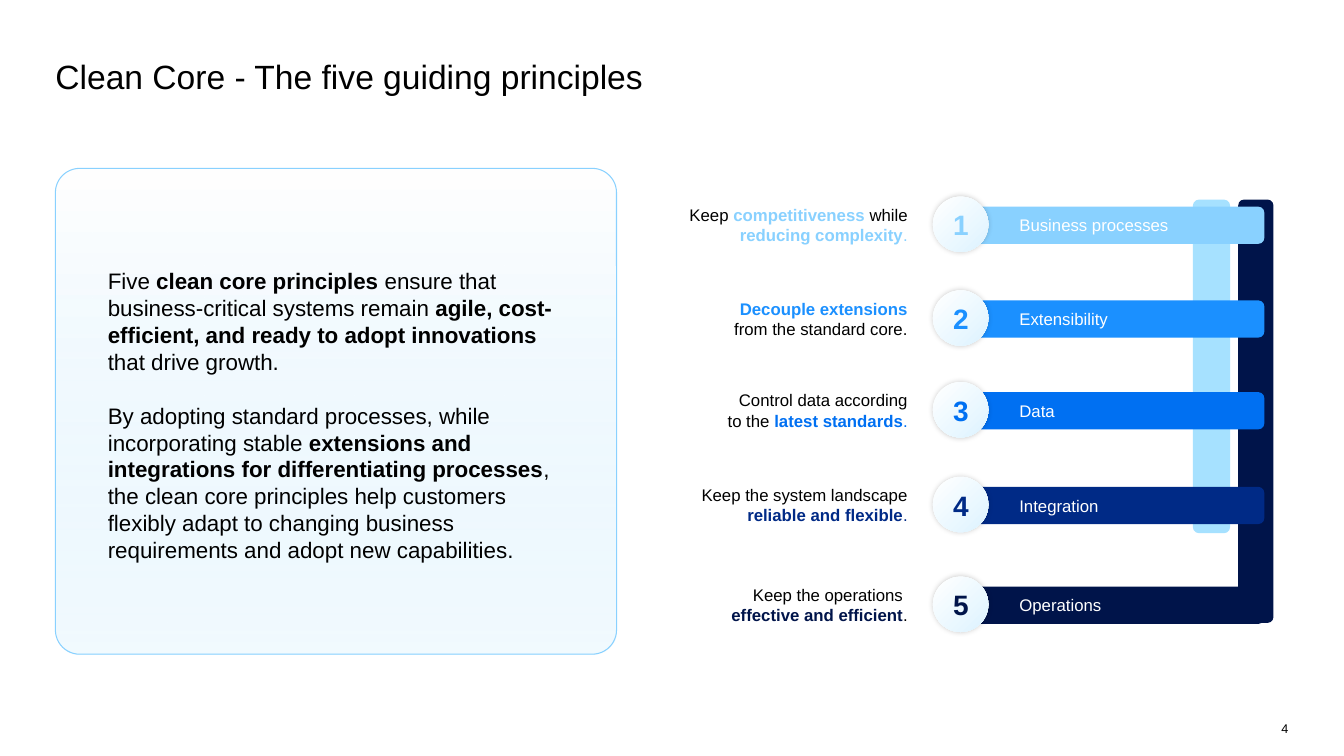
from collections import namedtuple

from lxml.etree import SubElement
from pptx import Presentation
from pptx.dml.color import RGBColor
from pptx.enum.shapes import MSO_SHAPE
from pptx.enum.text import MSO_ANCHOR, PP_ALIGN
from pptx.oxml.ns import qn
from pptx.util import Inches, Pt

CELL = Inches(0.1)
COLUMNS, ROWS = 133.4, 75

BLACK = RGBColor(0x00, 0x00, 0x00)
WHITE = RGBColor(0xFF, 0xFF, 0xFF)
SKY = RGBColor(0x89, 0xD1, 0xFF)
BRIGHT = RGBColor(0x1B, 0x90, 0xFF)
BLUE = RGBColor(0x00, 0x70, 0xF2)
DEEP = RGBColor(0x00, 0x2A, 0x86)
NAVY = RGBColor(0x00, 0x14, 0x4A)
PALE_BAR = RGBColor(0xA6, 0xE1, 0xFF)
PANEL_TINT = RGBColor(0xD1, 0xEF, 0xFF)
BADGE_TINT = RGBColor(0xDD, 0xF3, 0xFF)

Box = namedtuple("Box", "left top width height")
Run = namedtuple("Run", "text color bold", defaults=(BLACK, False))
Principle = namedtuple("Principle", "top name color caption")

PRINCIPLES = [
    Principle(19.5, "Business processes", SKY, [
        Run("Keep "), Run("competitiveness", SKY, True), Run(" while "),
        Run("reducing complexity", SKY, True), Run(".", SKY)]),
    Principle(28.8, "Extensibility", BRIGHT, [
        Run("Decouple extensions\n", BRIGHT, True), Run("from the standard core.")]),
    Principle(37.9, "Data", BLUE, [
        Run("Control data according\nto the "),
        Run("latest standards", BLUE, True), Run(".", BLUE)]),
    Principle(47.3, "Integration", DEEP, [
        Run("Keep the system landscape\n"),
        Run("reliable and flexible", DEEP, True), Run(".", DEEP)]),
    Principle(57.2, "Operations", NAVY, [
        Run("Keep the operations \n"),
        Run("effective and efficient", NAVY, True), Run(".")]),
]

INTRODUCTION = [
    [Run("Five "), Run("clean core principles ", BLACK, True),
     Run("ensure that business-critical systems remain "),
     Run("agile, cost-efficient, and ready to adopt innovations ", BLACK, True),
     Run("that drive growth.")],
    [Run("By adopting standard processes, while incorporating stable "),
     Run("extensions and integrations for differentiating processes", BLACK, True),
     Run(", the clean core principles help customers flexibly adapt to changing "
         "business requirements and adopt new capabilities.")],
]


def cells(count):
    return int(CELL * count)


def within(box, left, top, width, height):
    return Box(box.left + left, box.top + top, width, height)


def apply_format(target, values):
    for name, value in values.items():
        setattr(target, name, value)


def write_text(shape, paragraphs, size, align=PP_ALIGN.LEFT, anchor=MSO_ANCHOR.MIDDLE,
               insets=(0, 0, 0, 0), wrap=True, gap=0):
    frame = shape.text_frame
    sides = ("margin_left", "margin_top", "margin_right", "margin_bottom")
    apply_format(frame, {"word_wrap": wrap, "vertical_anchor": anchor,
                         **dict(zip(sides, map(cells, insets)))})
    for index, runs in enumerate(paragraphs):
        paragraph = frame.add_paragraph() if index else frame.paragraphs[0]
        apply_format(paragraph, {"alignment": align, "space_before": Pt(gap if index else 0)})
        for text, color, bold in runs:
            for line, part in enumerate(text.split("\n")):
                if line:
                    paragraph.add_line_break()
                if part:
                    run = paragraph.add_run()
                    run.text = part
                    apply_format(run.font, {"name": "Arial", "size": Pt(size), "bold": bold})
                    run.font.color.rgb = color


def add_text(slide, box, paragraphs, size, **options):
    shape = slide.shapes.add_textbox(*map(cells, box))
    write_text(shape, paragraphs, size, **options)


def add_rounded(slide, box, color=None, radius=None):
    shape = slide.shapes.add_shape(MSO_SHAPE.ROUNDED_RECTANGLE, *map(cells, box))
    shape.shadow.inherit = False
    shape.line.fill.background()
    if color is not None:
        shape.fill.solid()
        shape.fill.fore_color.rgb = color
    if radius is not None:
        shape.adjustments[0] = radius
    return shape


def set_gradient(shape, end_color, angle):
    shape.fill.gradient()
    shape.fill.gradient_angle = angle
    for stop, color in zip(shape.fill.gradient_stops, (WHITE, end_color)):
        stop.color.rgb = color


def add_alpha(color_element, percent):
    SubElement(color_element, qn("a:alpha"), val=str(percent * 1000))


def add_glow_shadow(shape):
    effects = shape.element.spPr.find(qn("a:effectLst"))
    shadow = SubElement(effects, qn("a:outerShdw"), blurRad=str(Pt(4)), dist="0",
                        dir="2700000", algn="ctr", rotWithShape="0")
    add_alpha(SubElement(shadow, qn("a:srgbClr"), val=str(BLACK)), 20)


def build_title(slide, box):
    title = slide.shapes.title
    apply_format(title, dict(zip(box._fields, map(cells, box))))
    write_text(title, [[Run("Clean Core - The five guiding principles")]], 24,
               anchor=MSO_ANCHOR.TOP)


def build_panel(slide, box):
    panel = add_rounded(slide, box, radius=0.05)
    set_gradient(panel, PANEL_TINT, 270)
    add_alpha(panel.element.spPr.findall(".//" + qn("a:srgbClr"))[-1], 28)
    panel.line.color.rgb = SKY
    panel.line.width = Pt(0.75)
    add_text(slide, within(box, 5.2, 9.7, 44.8, 29.6), INTRODUCTION, 16, gap=19.2)


def build_principle(slide, box, number, principle):
    add_text(slide, within(box, 0, 0.8, 27.9, 4), [principle.caption], 12,
             align=PP_ALIGN.RIGHT)
    bar = add_rounded(slide, within(box, 33.2, 1, 30.1, 3.7), principle.color)
    write_text(bar, [[Run(principle.name, WHITE)]], 12, insets=(5.6, 0.7, 0.7, 0.7))
    badge_box = within(box, 30.4, 0, 5.5, 5.5)
    badge = add_rounded(slide, badge_box, radius=0.5)
    set_gradient(badge, BADGE_TINT, 315)
    add_glow_shadow(badge)
    add_text(slide, within(badge_box, 2, 1.1, 1.5, 3.4),
             [[Run(str(number), principle.color, True)]], 20,
             align=PP_ALIGN.CENTER, wrap=False)


def build_principles(slide, box):
    add_rounded(slide, within(box, 60.7, 0.4, 3.5, 42), NAVY)
    add_rounded(slide, within(box, 56.2, 0.4, 3.7, 33.1), PALE_BAR)
    for number, principle in enumerate(PRINCIPLES, 1):
        row = Box(box.left, principle.top, box.width, 5.5)
        build_principle(slide, row, number, principle)


def build_page_number(slide, box):
    add_text(slide, box, [[Run("4")]], 9, align=PP_ALIGN.RIGHT,
             anchor=MSO_ANCHOR.TOP, wrap=False)


def main():
    presentation = Presentation()
    apply_format(presentation, {"slide_width": cells(COLUMNS), "slide_height": cells(ROWS)})
    slide = presentation.slides.add_slide(presentation.slide_layouts[5])
    build_title(slide, Box(5.5, 5.5, 122.3, 4))
    build_panel(slide, Box(5.5, 16.7, 55.7, 48.2))
    build_principles(slide, Box(62.2, 19.4, 64.2, 42.4))
    build_page_number(slide, Box(126.3, 71.5, 1.6, 1.5))
    presentation.save("out.pptx")


if __name__ == "__main__":
    main()
